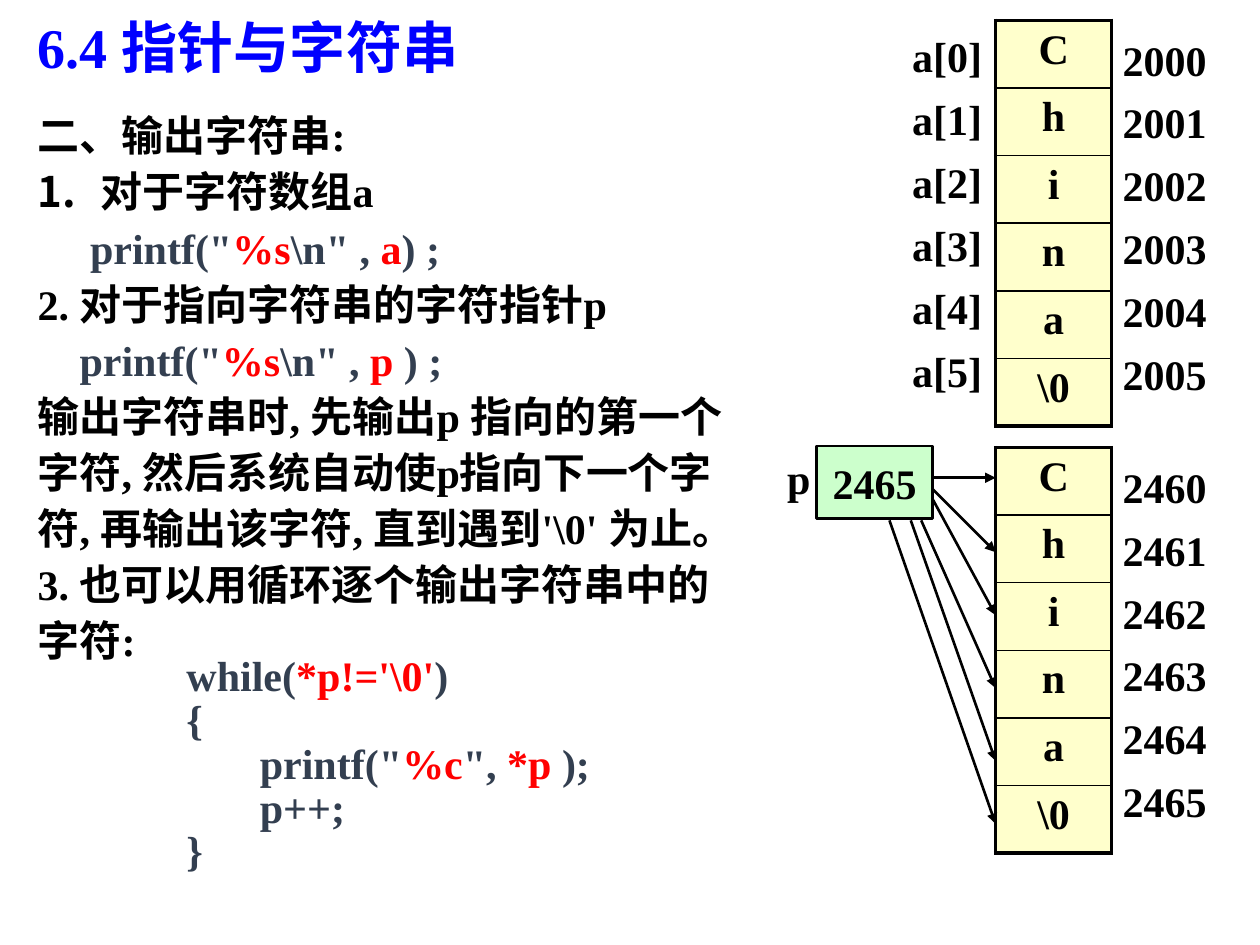
from typing import NamedTuple

from lxml import etree
from pptx import Presentation
from pptx.dml.color import RGBColor
from pptx.enum.shapes import MSO_CONNECTOR, MSO_SHAPE
from pptx.enum.text import MSO_ANCHOR, MSO_AUTO_SIZE, PP_ALIGN
from pptx.oxml.ns import qn
from pptx.util import Cm, Pt

BLACK = RGBColor(0x00, 0x00, 0x00)
BLUE = RGBColor(0x00, 0x00, 0xFF)
RED = RGBColor(0xFF, 0x00, 0x00)
SLATE = RGBColor(0x33, 0x3F, 0x50)
CREAM = RGBColor(0xFF, 0xFF, 0xCC)
MINT = RGBColor(0xCC, 0xFF, 0xCC)
LEFT, CENTER = PP_ALIGN.LEFT, PP_ALIGN.CENTER
STRAIGHT, RECTANGLE = MSO_CONNECTOR.STRAIGHT, MSO_SHAPE.RECTANGLE
GROW, FIXED = MSO_AUTO_SIZE.SHAPE_TO_FIT_TEXT, MSO_AUTO_SIZE.NONE
TOP, MIDDLE, BOTTOM = MSO_ANCHOR.TOP, MSO_ANCHOR.MIDDLE, MSO_ANCHOR.BOTTOM
FONT = "Times New Roman"
TITLE_ONLY = 5
CELL_WIDTH, TABLE_HEIGHT = 2.34, 8.18
TABLE_LEFT, ADDRESS_LEFT = 20.07, 22.38
THICK, THIN = Pt(2.25), Pt(1)
CHARACTERS = ["C", "h", "i", "n", "a", "\\0"]


class Area(NamedTuple):
    """Left, top, width and height in centimetres."""
    left: float
    top: float
    width: float
    height: float

    def lengths(self):
        return [Cm(value) for value in self]


class Line(NamedTuple):
    """One paragraph; every second part between bars is red."""
    text: str
    color: RGBColor = BLACK
    number: bool = False


class Arrow(NamedTuple):
    start_x: float
    start_y: float
    end_y: float


BODY = [
    Line("二、输出字符串:"),
    Line("对于字符数组a", number=True),
    Line('     printf("|%s|\\n" , |a|) ;', SLATE),
    Line("2. 对于指向字符串的字符指针p"),
    Line('    printf("|%s|\\n" , |p |) ;', SLATE),
    Line("输出字符串时, 先输出p 指向的第一个字符, 然后系统自动使p指向下一个字符, "
         "再输出该字符, 直到遇到'\\0' 为止。"),
    Line("3. 也可以用循环逐个输出字符串中的字符:"),
]
CODE = [
    Line("while(|*p!='\\0'|)", SLATE),
    Line("{", SLATE),
    Line('       printf("|%c|", |*p |);', SLATE),
    Line("       p++;", SLATE),
    Line("}", SLATE),
]
ARROWS = [
    Arrow(18.8, 9.63, 9.63),
    Arrow(18.8, 9.86, 11.13),
    Arrow(18.8, 10.06, 12.4),
    Arrow(18.57, 10.49, 13.87),
    Arrow(18.36, 10.49, 15.34),
    Arrow(17.93, 10.49, 16.61),
]


def write(frame, lines: list[Line], *, size: float = 24, align=LEFT,
          spacing=None, before: float = 0) -> None:
    for index, line in enumerate(lines):
        para = frame.add_paragraph() if index else frame.paragraphs[0]
        para.alignment = align
        if spacing:
            para.line_spacing = spacing
        para.space_before = Pt(before if index else 0)
        if line.number:
            number_paragraph(para)
        for position, text in enumerate(line.text.split("|")):
            span = para.add_run()
            span.text = text
            span.font.name = FONT
            span.font.size = Pt(size)
            span.font.bold = True
            span.font.color.rgb = RED if position % 2 else line.color


def number_paragraph(para) -> None:
    properties = para._p.get_or_add_pPr()
    properties.set("marL", str(Cm(1.27)))
    properties.set("indent", str(-Cm(1.27)))
    etree.SubElement(properties, qn("a:buAutoNum"), type="arabicPeriod")


def add_text(page, area: Area, lines: list[Line], **text_format) -> None:
    frame = page.shapes.add_textbox(*area.lengths()).text_frame
    frame.word_wrap = True
    frame.auto_size = GROW
    write(frame, lines, **text_format)


def add_labels(page, left: float, top: float, labels: list[str]) -> None:
    add_text(page, Area(left, top, CELL_WIDTH, 7.75), [Line(label) for label in labels],
             spacing=0.8, before=12.9)


def add_border(cell, side: str, width: int) -> None:
    properties = cell._tc.get_or_add_tcPr()
    border = etree.SubElement(properties, qn(f"a:ln{side}"), w=str(width))
    fill = etree.SubElement(border, qn("a:solidFill"))
    etree.SubElement(fill, qn("a:srgbClr"), val=str(BLACK))


def add_memory(page, top: float) -> None:
    """Draw the string as a column of memory cells."""
    count = len(CHARACTERS)
    area = Area(TABLE_LEFT, top, CELL_WIDTH, TABLE_HEIGHT)
    table = page.shapes.add_table(count, 1, *area.lengths()).table
    table.first_row = False
    table.horz_banding = False
    for index, character in enumerate(CHARACTERS):
        table.rows[index].height = Cm(TABLE_HEIGHT / count)
        cell = table.cell(index, 0)
        add_border(cell, "L", THICK)
        add_border(cell, "R", THICK)
        add_border(cell, "T", THIN if index else THICK)
        add_border(cell, "B", THIN if index < count - 1 else THICK)
        cell.fill.solid()
        cell.fill.fore_color.rgb = CREAM
        cell.vertical_anchor = TOP
        write(cell.text_frame, [Line(character)], align=CENTER)


def add_arrow(page, arrow: Arrow) -> None:
    connector = page.shapes.add_connector(
        STRAIGHT, Cm(arrow.start_x), Cm(arrow.start_y), Cm(TABLE_LEFT), Cm(arrow.end_y))
    connector.line.color.rgb = BLACK
    connector.line.width = Pt(1.5)
    etree.SubElement(connector.line._get_or_add_ln(), qn("a:tailEnd"), type="triangle")
    etree.SubElement(connector._element.spPr, qn("a:effectLst"))


def add_pointer(page) -> None:
    add_text(page, Area(15.62, 8.99, 0.84, 1.3), [Line("p")])
    for arrow in ARROWS:
        add_arrow(page, arrow)
    box = page.shapes.add_shape(RECTANGLE, *Area(16.46, 8.99, CELL_WIDTH, 1.47).lengths())
    box.shadow.inherit = False
    box.fill.solid()
    box.fill.fore_color.rgb = MINT
    box.line.color.rgb = BLACK
    box.line.width = Pt(1.5)
    box.text_frame.word_wrap = False
    box.text_frame.vertical_anchor = MIDDLE
    write(box.text_frame, [Line("2465")], align=CENTER)


def set_title(page) -> None:
    title = page.shapes.title
    title.left, title.top, title.width, title.height = Area(0.51, 0.33, 13.56, 1.42).lengths()
    title.text_frame.auto_size = FIXED
    title.text_frame.vertical_anchor = BOTTOM
    write(title.text_frame, [Line("6.4 指针与字符串", BLUE)], size=32, spacing=0.9)


def main() -> None:
    deck = Presentation()
    deck.slide_width, deck.slide_height = Cm(25.4), Cm(19.05)
    page = deck.slides.add_slide(deck.slide_layouts[TITLE_ONLY])
    set_title(page)
    add_text(page, Area(0.51, 1.98, 14.88, 11.56), BODY, spacing=Pt(32))
    add_text(page, Area(3.51, 13.11, 9.78, 4.7), CODE, spacing=Pt(25))

    indexes = range(len(CHARACTERS))
    add_memory(page, 0.41)
    add_labels(page, 18.14, 0.69, [f"a[{index}]" for index in indexes])
    add_labels(page, ADDRESS_LEFT, 0.76, [str(2000 + index) for index in indexes])
    add_memory(page, 9.02)
    add_labels(page, ADDRESS_LEFT, 9.37, [str(2460 + index) for index in indexes])
    add_pointer(page)
    deck.save("out.pptx")


if __name__ == "__main__":
    main()
